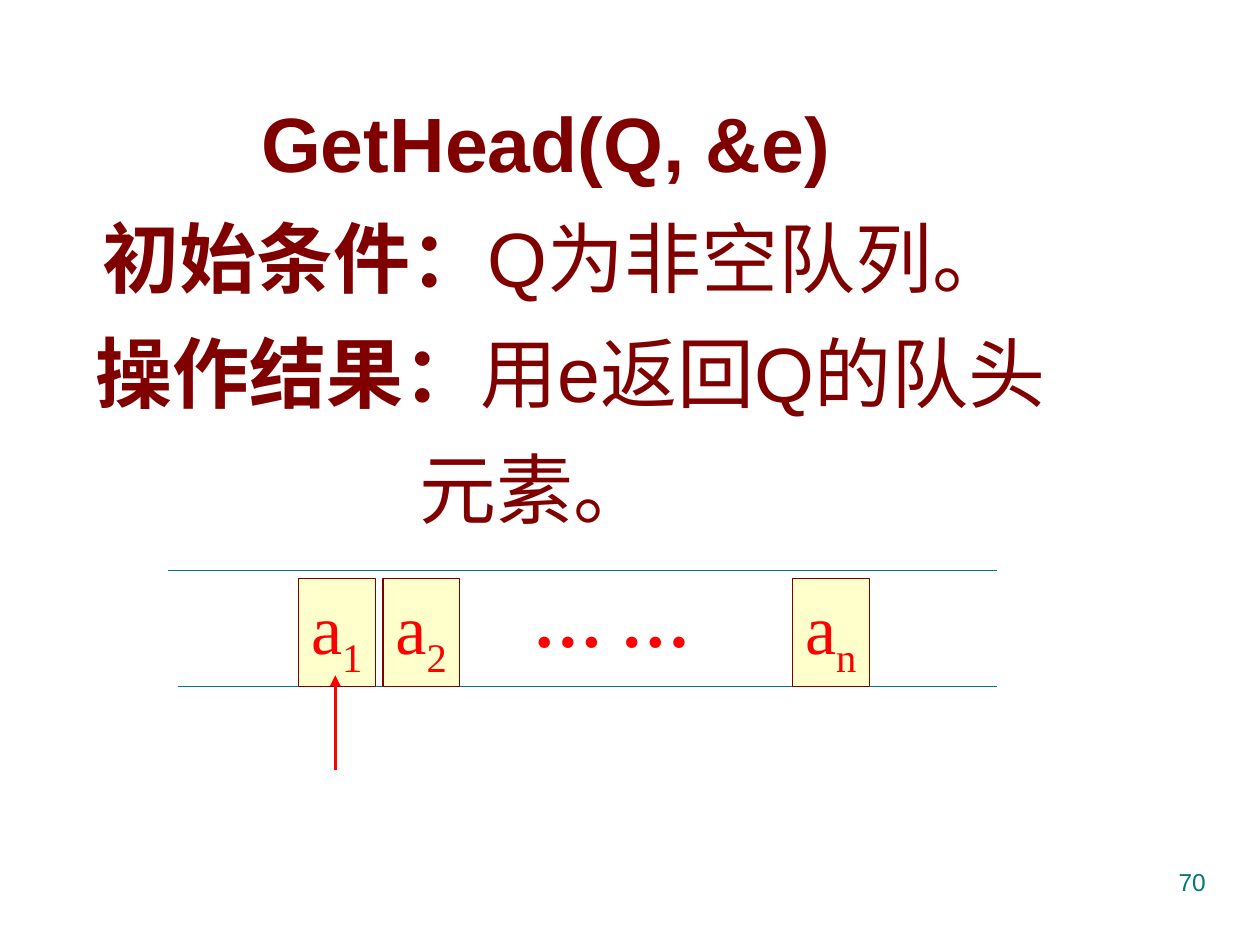
from lxml import etree
from pptx import Presentation
from pptx.dml.color import RGBColor
from pptx.enum.shapes import MSO_CONNECTOR as Conn, MSO_SHAPE as Kind
from pptx.enum.text import MSO_ANCHOR as Anchor, MSO_AUTO_SIZE as Auto, PP_ALIGN as Align
from pptx.oxml.ns import qn
from pptx.util import Pt

TEAL, WINE, RED, CREAM = "007A77", "800000", "FF0000", "FFFFCC"


def tint(code):
    return RGBColor.from_string(code)


def style(para, face, size, code, bold=False):
    font = para.font
    font.name, font.size, font.bold = face, Pt(size), bold
    font.color.rgb = tint(code)


def place(shape, x, y, w, h):
    shape.left, shape.top, shape.width, shape.height = Pt(x), Pt(y), Pt(w), Pt(h)


def rule(slide, x1, y1, x2, y2, code, width, arrow=False):
    line = slide.shapes.add_connector(Conn.STRAIGHT, Pt(x1), Pt(y1), Pt(x2), Pt(y2))
    line.line.color.rgb = tint(code)
    line.line.width = Pt(width)
    props = line._element.spPr
    if arrow:
        etree.SubElement(props.find(qn("a:ln")), qn("a:tailEnd"), type="triangle")
    etree.SubElement(props, qn("a:effectLst"))


def title(slide, x, y, w, h):
    shape = slide.shapes.title
    place(shape, x, y, w, h)
    frame = shape.text_frame
    frame.auto_size = Auto.NONE
    frame.vertical_anchor = Anchor.MIDDLE
    rows = [
        (12, "GetHead(Q, &e)", ""),
        (24, "初始条件：", "Q为非空队列。"),
        (40, "操作结果：", "用e返回Q的队头元素。"),
    ]
    for i, (shift, head, rest) in enumerate(rows):
        para = frame.add_paragraph() if i else frame.paragraphs[0]
        para.alignment = Align.CENTER
        para.line_spacing = 1.25
        para.space_before = Pt(0)
        props = para._p.get_or_add_pPr()
        props.set("marL", "0")
        props.set("indent", str(Pt(shift)))
        style(para, "Arial", 44, WINE)
        run = para.add_run()
        run.text = head
        run.font.bold = True
        if rest:
            para.add_run().text = rest


def cell(slide, x, y, w, h, sub):
    box = slide.shapes.add_shape(Kind.RECTANGLE, Pt(x), Pt(y), Pt(w), Pt(h))
    box.shadow.inherit = False
    box.fill.solid()
    box.fill.fore_color.rgb = tint(CREAM)
    box.line.color.rgb = tint(WINE)
    box.line.width = Pt(0.75)
    frame = box.text_frame
    frame.word_wrap = False
    frame.vertical_anchor = Anchor.TOP
    para = frame.paragraphs[0]
    para.alignment = Align.LEFT
    style(para, "Times New Roman", 40, RED)
    para.add_run().text = "a"
    low = para.add_run()
    low.text = sub
    low.font._element.set("baseline", "-25000")


def label(slide, x, y, w, h, text, face, size, code, bold=False, side=Align.LEFT, wrap=False):
    frame = slide.shapes.add_textbox(Pt(x), Pt(y), Pt(w), Pt(h)).text_frame
    frame.word_wrap = wrap
    para = frame.paragraphs[0]
    para.text = text
    para.alignment = side
    style(para, face, size, code, bold)


def queue(slide, x, y, w, h):
    rule(slide, x, y, x + w, y, TEAL, 0.75)
    rule(slide, x + 6, y + h, x + w, y + h, TEAL, 0.75)
    for dx, sub in [(74.9, "1"), (123.1, "2"), (357.2, "n")]:
        cell(slide, x + dx, y + 4.3, 43.9, h - 4.3, sub)
    rule(slide, x + 95.8, y + h + 47.5, x + 95.8, y + h - 6.5, RED, 2, True)
    label(slide, x + 201.6, y, 104.4, 55.4, "… …", "Times New Roman", 40, RED, True)


def main():
    deck = Presentation()
    deck.slide_width, deck.slide_height = Pt(720), Pt(540)
    slide = deck.slides.add_slide(deck.slide_layouts[5])
    label(slide, 516.2, 491.8, 180, 37.4, "70", "Arial", 14, TEAL, side=Align.RIGHT, wrap=True)
    title(slide, 0, 37.4, 612, 271.4)
    queue(slide, 95.8, 326.2, 473.7, 66.2)
    deck.save("out.pptx")


if __name__ == "__main__":
    main()
